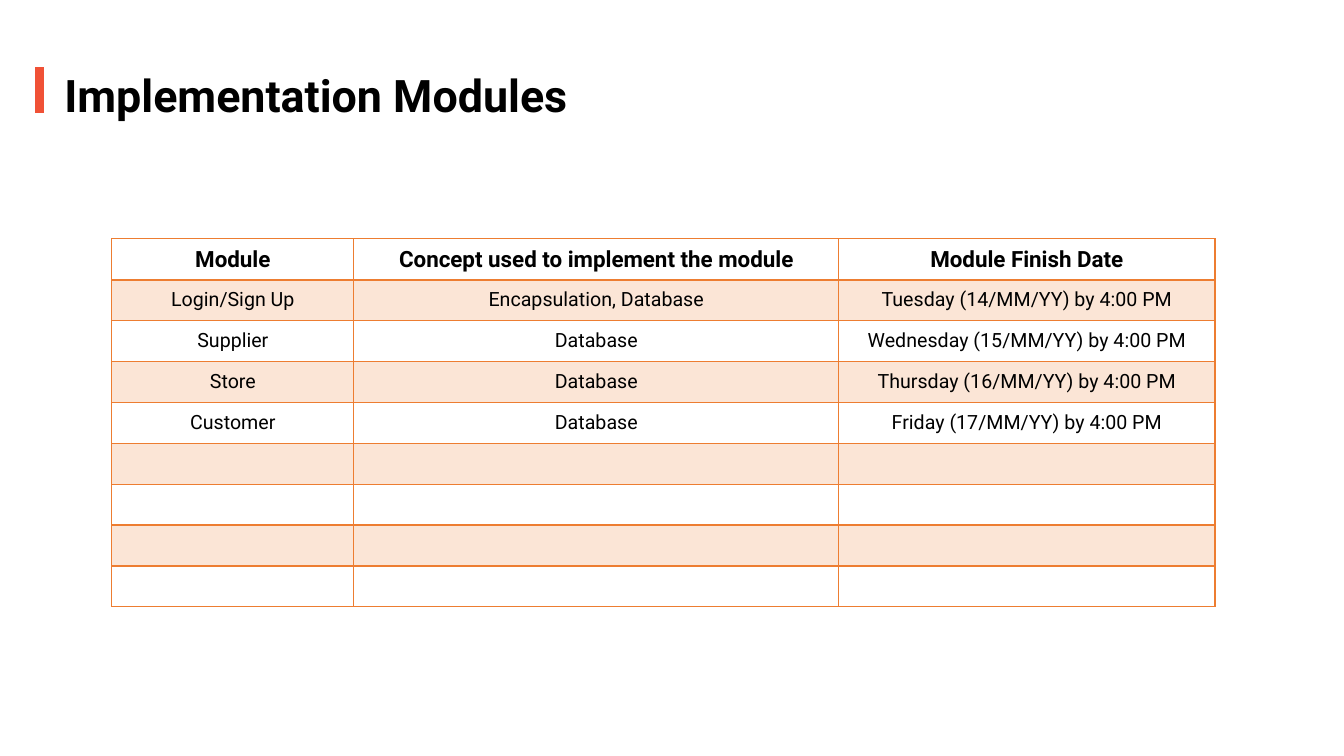
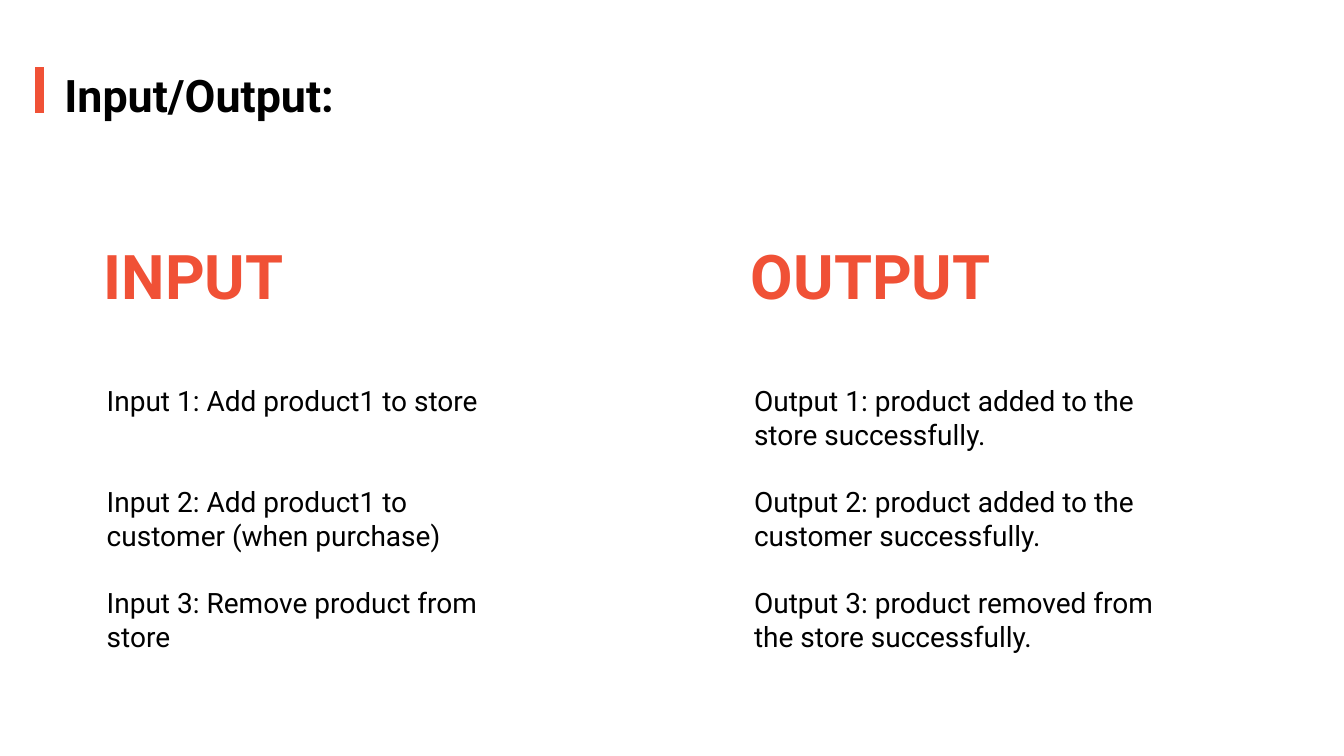
from dataclasses import dataclass

from lxml.etree import SubElement
from pptx import Presentation
from pptx.dml.color import RGBColor
from pptx.enum.shapes import MSO_SHAPE
from pptx.enum.text import MSO_ANCHOR, PP_ALIGN
from pptx.oxml.ns import qn
from pptx.util import Inches, Pt


@dataclass(frozen=True)
class Theme:
    """Colours, font and type sizes of the deck."""
    font: str = "Roboto"
    ink: str = "000000"
    paper: str = "FFFFFF"
    accent: str = "F05136"
    rule: str = "ED7D31"
    band: str = "FBE5D6"
    title: int = 32
    heading: int = 44
    body: int = 20
    table_head: int = 16
    table_body: int = 14


T = Theme()


def rgb(color):
    """Turn a hex string into a colour."""
    return RGBColor.from_string(color)


def paint(target, color):
    """Give a shape or cell a solid fill."""
    target.fill.solid()
    target.fill.fore_color.rgb = rgb(color)


def write(p, text, size=T.body, color=T.ink, bold=False, align=PP_ALIGN.LEFT, before=0):
    """Write one formatted run into a paragraph."""
    p.alignment = align
    p.space_before = Pt(before)
    r = p.add_run()
    r.text = text
    r.font.name, r.font.size, r.font.bold = T.font, Pt(size), bold
    r.font.color.rgb = rgb(color)


def add_text(s, box, items, gaps=(), wrap=True, fill=None, **style):
    """Add a text box with one paragraph per item, with optional gaps before them."""
    sp = s.shapes.add_textbox(*map(Inches, box))
    if fill:
        paint(sp, fill)
    tf = sp.text_frame
    tf.word_wrap = wrap
    for i, item in enumerate(items):
        p = tf.add_paragraph() if i else tf.paragraphs[0]
        write(p, item, before=gaps[i] if gaps else 0, **style)


def add_title(s, box, text):
    """Place the accent bar and the slide title in the box."""
    x, y, w, h = box
    sp = s.shapes.add_shape(MSO_SHAPE.RECTANGLE, *map(Inches, (x, y + 0.04, 0.1, 0.47)))
    sp.shadow.inherit = False
    paint(sp, T.accent)
    sp.line.color.rgb = rgb(T.paper)
    sp.line.width = Pt(1)
    add_text(s, (x + 0.2, y, w - 0.2, h), [text], wrap=False, size=T.title, bold=True)


def set_borders(cell, **widths):
    """Rule the cell sides L, R, T and B with the given widths in points."""
    tc_pr = cell._tc.get_or_add_tcPr()
    for i, (side, width) in enumerate(widths.items()):
        ln = SubElement(tc_pr, qn(f"a:ln{side}"), w=str(Pt(width)))
        fill = SubElement(ln, qn("a:solidFill"))
        SubElement(fill, qn("a:srgbClr"), val=T.rule)
        tc_pr.insert(i, ln)


def add_schedule(s, box, col_widths, rows, row_count):
    """Fill the box with a banded table; rows without data stay empty."""
    x, y, w, h = map(Inches, box)
    table = s.shapes.add_table(row_count, len(col_widths), x, y, w, h).table
    table.first_row = table.horz_banding = False
    for col, width in zip(table.columns, col_widths):
        col.width = Inches(width)
    for i, row in enumerate(table.rows):
        row.height = h // row_count
        head = i == 0
        for j, cell in enumerate(row.cells):
            cell.vertical_anchor = MSO_ANCHOR.MIDDLE
            cell.margin_top = cell.margin_bottom = Inches(0.03)
            paint(cell, T.band if i % 2 else T.paper)
            set_borders(cell, L=1, R=1, T=2 if i == 1 else 1, B=2 if head else 1)
            if i < len(rows):
                write(cell.text_frame.paragraphs[0], rows[i][j], bold=head,
                      size=T.table_head if head else T.table_body, align=PP_ALIGN.CENTER)


def add_panel(s, box, heading, heading_width, items, gaps):
    """Place a large heading with a list of statements below it."""
    x, y, w, h = box
    add_text(s, (x, y, heading_width, 0.84), [heading], wrap=False, fill=T.paper,
             size=T.heading, color=T.accent, bold=True)
    add_text(s, (x + 0.03, y + 1.45, w - 0.03, h - 1.45), items, gaps)


def new_slide(prs, title):
    """Add a blank slide with the shared title."""
    s = prs.slides.add_slide(prs.slide_layouts[6])
    add_title(s, (0.34, 0.62, 5.91, 0.64), title)
    return s


def modules_slide(prs):
    """Build the slide with the module schedule."""
    s = new_slide(prs, "Implementation Modules")
    rows = [
        ("Module", "Concept used to implement the module", "Module Finish Date"),
        ("Login/Sign Up", "Encapsulation, Database", "Tuesday (14/MM/YY) by 4:00 PM"),
        ("Supplier", "Database", "Wednesday (15/MM/YY) by 4:00 PM"),
        ("Store", "Database", "Thursday (16/MM/YY) by 4:00 PM"),
        ("Customer", "Database", "Friday (17/MM/YY) by 4:00 PM"),
    ]
    add_schedule(s, (1.11, 2.37, 10.94, 3.65), (2.4, 4.81, 3.73), rows, row_count=9)


def input_output_slide(prs):
    """Build the slide that sets inputs beside outputs."""
    s = new_slide(prs, "Input/Output:")
    line = 24
    add_panel(s, (0.93, 2.31, 4.42, 4.24), "INPUT", 2.1, [
        "Input 1: Add product1 to store",
        "Input 2: Add product1 to customer (when purchase)",
        "Input 3: Remove product from store",
    ], gaps=(0, 2 * line, line))
    add_panel(s, (7.35, 2.31, 4.42, 4.24), "OUTPUT", 2.75, [
        "Output 1: product added to the store successfully.",
        "Output 2: product added to the customer successfully.",
        "Output 3: product removed from the store successfully.",
    ], gaps=(0, line, line))


def main():
    """Build and save the deck."""
    prs = Presentation()
    prs.slide_width, prs.slide_height = Inches(13.33), Inches(7.5)
    modules_slide(prs)
    input_output_slide(prs)
    prs.save("out.pptx")


main()
